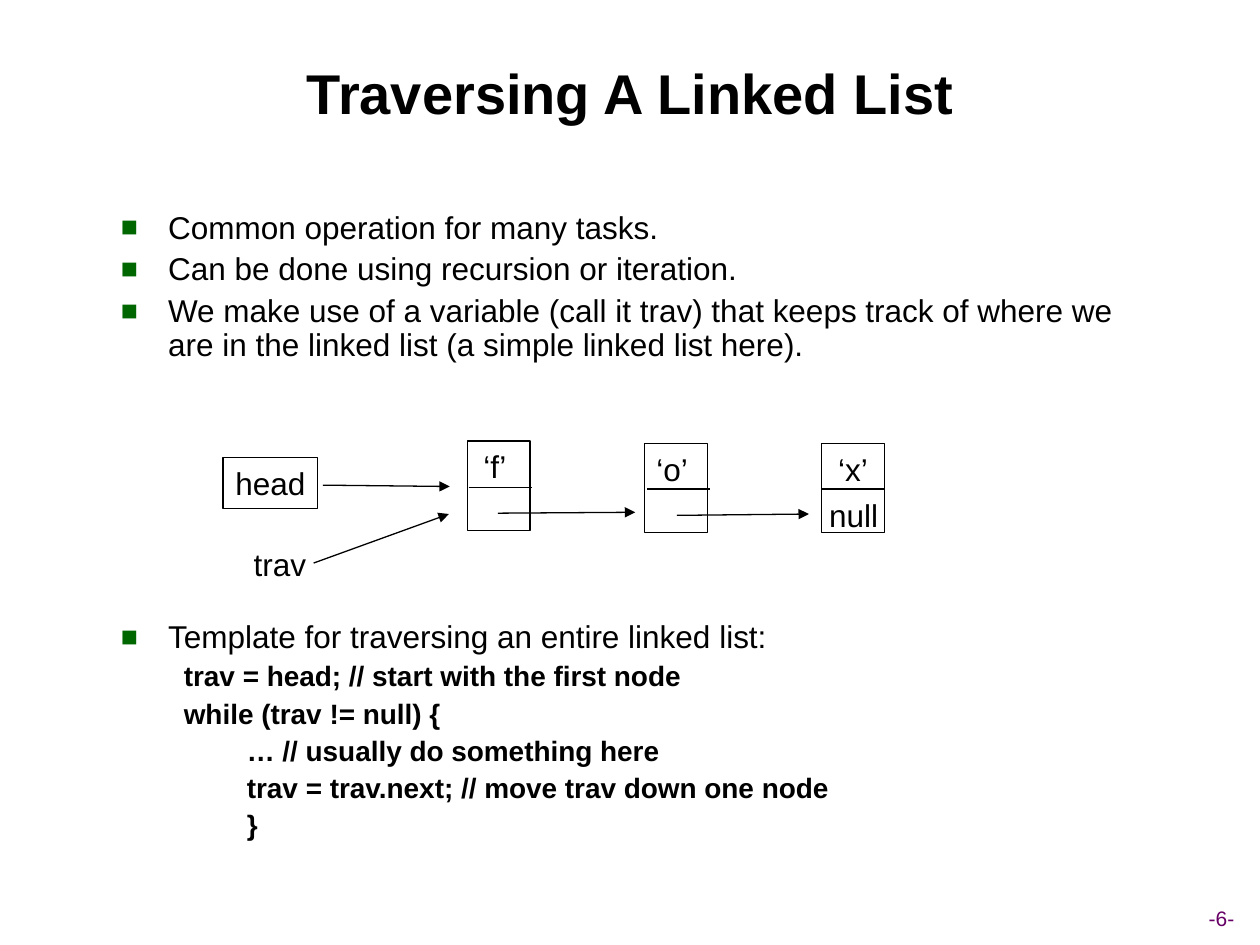
from dataclasses import dataclass

from lxml import etree
from pptx import Presentation
from pptx.dml.color import RGBColor
from pptx.enum.shapes import MSO_CONNECTOR, MSO_SHAPE
from pptx.enum.text import MSO_ANCHOR, MSO_AUTO_SIZE, PP_ALIGN
from pptx.oxml.ns import qn
from pptx.util import Pt

STRAIGHT = MSO_CONNECTOR.STRAIGHT
RECT = MSO_SHAPE.RECTANGLE
TOP, MIDDLE = MSO_ANCHOR.TOP, MSO_ANCHOR.MIDDLE
NO_AUTOFIT = MSO_AUTO_SIZE.NONE
LEFT, CENTER = PP_ALIGN.LEFT, PP_ALIGN.CENTER


@dataclass(frozen=True)
class Theme:
    """Font, colours and type sizes of the slide."""
    font: str = "Arial"
    ink: RGBColor = RGBColor(0, 0, 0)
    bullet: str = "006600"
    number: RGBColor = RGBColor(0x66, 0x00, 0x66)
    title: int = 32
    body: int = 18
    code: int = 16
    small: int = 12
    line: float = 0.75


THEME = Theme()
NODE_LEFT, NODE_STEP, NODE_W, NODE_H = 267, 101.25, 36, 51

BULLETS = [
    ("Common operation for many tasks.", 4.5),
    ("Can be done using recursion or iteration.", 4.5),
    ("We make use of a variable (call it trav) that keeps track of where we "
     "are in the linked list (a simple linked list here).", 4.5),
    ("Template for traversing an entire linked list:", 147.5),
]
CODE = [
    ("trav = head; // start with the first node", 1),
    ("while (trav != null) {", 1),
    ("… // usually do something here", 2),
    ("trav = trav.next; // move trav down one node", 2),
    ("}", 2),
]
CODE_INDENTS = {1: (58.5, -22.5), 2: (90, -18)}
NODES = [
    ("‘f’ ", 252, 0.75, 26.75),
    ("‘o’ ", 253.5, 1.5, 26),
    ("‘x’", 253.5, 0, 26),
]
ARROWS = [
    (184.5, 277.25, 257, 278),
    (284.5, 293.25, 363, 292.75),
    (386.75, 294.5, 462.25, 293.75),
    (179.25, 321.75, 256.5, 293.75),
]


def add_run(p, text, size, color=THEME.ink, bold=False):
    """Add one formatted run to a paragraph."""
    r = p.add_run()
    r.text = text
    r.font.name = THEME.font
    r.font.size = Pt(size)
    r.font.bold = bold
    r.font.color.rgb = color


def set_box_text(sp, text, size, color=THEME.ink, bold=False,
                 anchor=TOP, wrap=False):
    """Write one centred line in a shape."""
    tf = sp.text_frame
    tf.word_wrap = wrap
    tf.auto_size = NO_AUTOFIT
    tf.vertical_anchor = anchor
    p = tf.paragraphs[0]
    p.alignment = CENTER
    add_run(p, text, size, color, bold)


def add_label(s, text, x, y, w, h, size=THEME.body, color=THEME.ink, anchor=TOP):
    """Add a free-standing centred label."""
    sp = s.shapes.add_textbox(Pt(x), Pt(y), Pt(w), Pt(h))
    set_box_text(sp, text, size, color, anchor=anchor)


def add_box(s, text, x, y, w, h):
    """Add an outlined rectangle with text."""
    sp = s.shapes.add_shape(RECT, Pt(x), Pt(y), Pt(w), Pt(h))
    sp.shadow.inherit = False
    sp.fill.background()
    sp.line.color.rgb = THEME.ink
    sp.line.width = Pt(THEME.line)
    set_box_text(sp, text, THEME.body)


def add_line(s, x1, y1, x2, y2, arrow=False):
    """Add a straight line, with an arrowhead at its end if asked."""
    line = s.shapes.add_connector(STRAIGHT, Pt(x1), Pt(y1), Pt(x2), Pt(y2))
    line.line.color.rgb = THEME.ink
    line.line.width = Pt(THEME.line)
    if arrow:
        etree.SubElement(line.line._get_or_add_ln(), qn("a:tailEnd"), type="triangle")
    etree.SubElement(line._element.spPr, qn("a:effectLst"))


def add_node(s, index, text, y, divider_dx, divider_dy):
    """Add a list node with the divider between its two fields."""
    x = NODE_LEFT + index * NODE_STEP
    add_box(s, text, x, y, NODE_W, NODE_H)
    left, level = x + divider_dx, y + divider_dy
    add_line(s, left, level, left + NODE_W, level)


def format_paragraph(p, margin, indent, before):
    """Set the indents and spacing of a body paragraph."""
    p.alignment = LEFT
    p.line_spacing = 0.9
    p.space_before = Pt(before)
    pPr = p._p.get_or_add_pPr()
    pPr.set("marL", str(Pt(margin)))
    pPr.set("indent", str(Pt(indent)))
    return pPr


def add_bullet(p, text, before):
    """Fill a paragraph as a square-bulleted item."""
    pPr = format_paragraph(p, 27, -27, before)
    color = etree.SubElement(pPr, qn("a:buClr"))
    etree.SubElement(color, qn("a:srgbClr"), val=THEME.bullet)
    etree.SubElement(pPr, qn("a:buSzPct"), val="90000")
    etree.SubElement(pPr, qn("a:buFont"), typeface=THEME.font)
    etree.SubElement(pPr, qn("a:buChar"), char="■")
    add_run(p, text, THEME.body)


def add_body(s):
    """Add the bullets and the code template."""
    sp = s.shapes.add_textbox(Pt(62), Pt(117.5), Pt(603.5), Pt(382))
    tf = sp.text_frame
    tf.word_wrap = True
    for i, (text, before) in enumerate(BULLETS):
        add_bullet(tf.add_paragraph() if i else tf.paragraphs[0], text, before)
    for text, level in CODE:
        p = tf.add_paragraph()
        format_paragraph(p, *CODE_INDENTS[level], 4)
        add_run(p, text, THEME.code, bold=True)


def add_title(s, text):
    """Place and format the title placeholder."""
    sp = s.shapes.title
    sp.left, sp.top, sp.width, sp.height = Pt(26.5), Pt(18.5), Pt(667.5), Pt(68.5)
    set_box_text(sp, text, THEME.title, bold=True, anchor=MIDDLE, wrap=True)


def main():
    """Build the slide and save it."""
    prs = Presentation()
    prs.slide_width, prs.slide_height = Pt(720), Pt(540)
    s = prs.slides.add_slide(prs.slide_layouts[5])
    add_title(s, "Traversing A Linked List")
    add_body(s)
    add_box(s, "head", 127.5, 261.5, 54, 29)
    for i, node in enumerate(NODES):
        add_node(s, i, *node)
    for arrow in ARROWS:
        add_line(s, *arrow, arrow=True)
    add_label(s, "null", 466.5, 280, 42.5, 29)
    add_label(s, "trav", 138, 308, 44, 29)
    add_label(s, "-6-", 659.5, 514, 77, 21.5, THEME.small, THEME.number, MIDDLE)
    prs.save("out.pptx")


if __name__ == "__main__":
    main()
